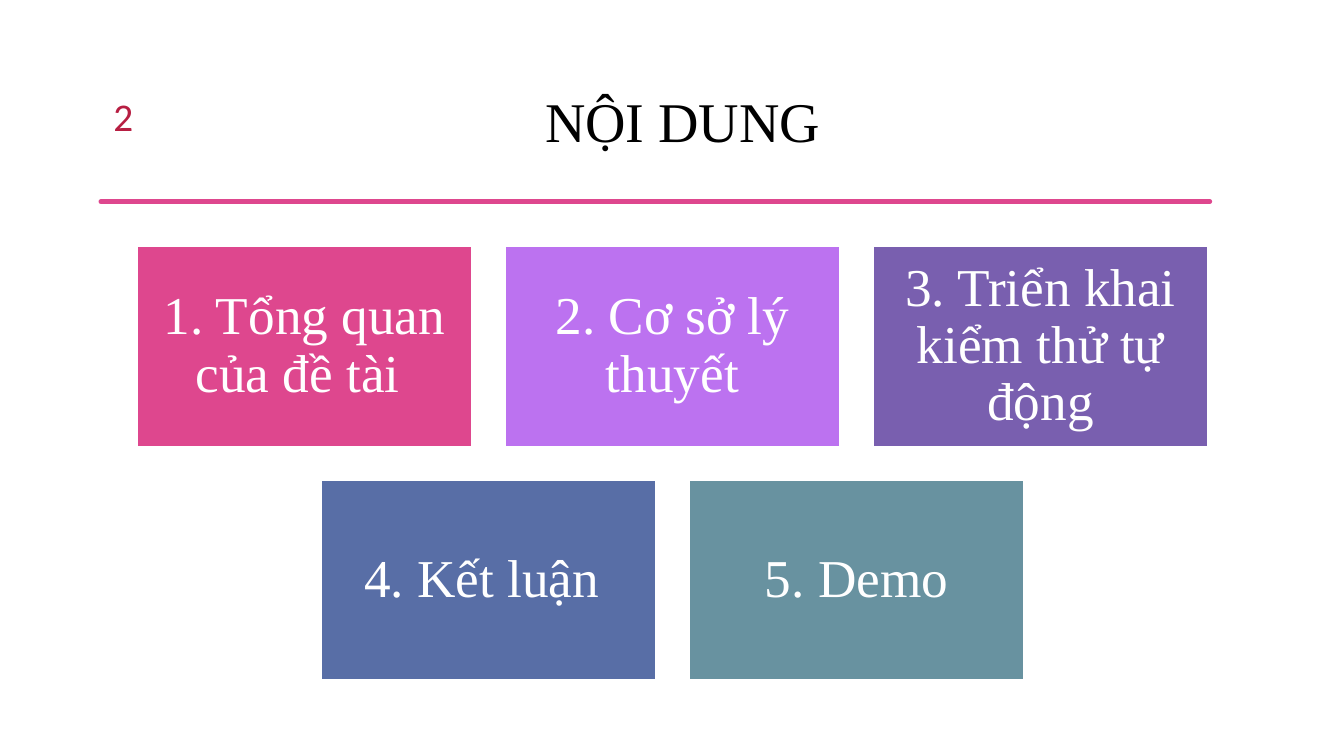
from dataclasses import dataclass

from lxml import etree
from pptx import Presentation
from pptx.dml.color import RGBColor
from pptx.enum.shapes import MSO_SHAPE
from pptx.enum.text import MSO_ANCHOR, PP_ALIGN
from pptx.oxml.ns import qn
from pptx.util import Inches, Pt

RECT = MSO_SHAPE.RECTANGLE
TOP, MIDDLE = MSO_ANCHOR.TOP, MSO_ANCHOR.MIDDLE
CENTER, RIGHT = PP_ALIGN.CENTER, PP_ALIGN.RIGHT
SERIF, SANS = "Times New Roman", "Calibri"
PINK, WHITE = "DE478E", "FFFFFF"

WIDTH, HEIGHT = 13.33, 7.5
TILE_W, TILE_H, GAP = 3.32, 1.99, 0.33
GRID_MID, GRID_TOP = 6.67, 2.44


@dataclass
class Tile:
    text: str
    color: str


ROWS = [
    [
        Tile("1. Tổng quan của đề tài ", PINK),
        Tile("2. Cơ sở lý thuyết", "BC72F0"),
        Tile("3. Triển khai kiểm thử tự động", "795FAF"),
    ],
    [
        Tile("4. Kết luận ", "586EA6"),
        Tile("5. Demo", "6892A0"),
    ],
]

# Brush stroke: x, upper edge, lower edge
BRUSH = [
    (0.92, 2.04, 2.06), (1.44, 2.03, 2.07), (2.03, 2.05, 2.07),
    (2.35, 2.04, 2.06), (2.8, 2.05, 2.06), (3.3, 2.04, 2.05),
    (3.67, 2.03, 2.06), (4.02, 2.04, 2.08), (4.75, 2.04, 2.05),
    (5.35, 2.05, 2.06), (5.95, 2.04, 2.06), (6.9, 2.02, 2.06),
    (7.8, 2.05, 2.06), (8.2, 2.04, 2.06), (8.75, 2.05, 2.08),
    (9.4, 2.03, 2.06), (10.3, 2.04, 2.06), (11.15, 2.03, 2.07),
    (11.65, 2.04, 2.05), (12.32, 2.04, 2.06),
]


def rgb(code: str) -> RGBColor:
    return RGBColor.from_string(code)


def paint(shape, fill: str, line: str, width: float) -> None:
    shape.shadow.inherit = False
    shape.fill.solid()
    shape.fill.fore_color.rgb = rgb(fill)
    shape.line.color.rgb = rgb(line)
    shape.line.width = Pt(width)


def write(shape, text: str, size: float, font: str, color: str,
          align, anchor, spacing: float = 1.0) -> None:
    frame = shape.text_frame
    frame.word_wrap = True
    frame.vertical_anchor = anchor
    frame.text = text
    para = frame.paragraphs[0]
    para.alignment = align
    para.line_spacing = spacing
    para.font.size = Pt(size)
    para.font.name = font
    para.font.color.rgb = rgb(color)


def add_tile(slide, tile: Tile, left: float, top: float) -> None:
    box = slide.shapes.add_shape(
        RECT, Inches(left), Inches(top), Inches(TILE_W), Inches(TILE_H))
    paint(box, tile.color, WHITE, 1.25)
    write(box, tile.text, 38, SERIF, WHITE, CENTER, MIDDLE, 0.9)
    frame = box.text_frame
    frame.margin_left = frame.margin_right = Inches(0.16)
    frame.margin_top = frame.margin_bottom = Inches(0.16)


def add_brush(slide) -> None:
    upper = [(x, top) for x, top, _ in BRUSH]
    lower = [(x, low) for x, _, low in reversed(BRUSH)]
    start, *rest = upper + lower
    pen = slide.shapes.build_freeform(*start, scale=Inches(1))
    pen.add_line_segments(rest, close=True)
    stroke = pen.convert_to_shape()
    paint(stroke, PINK, PINK, 3.25)
    etree.SubElement(stroke.line._get_or_add_ln(), qn("a:round"))


def main() -> None:
    deck = Presentation()
    deck.slide_width, deck.slide_height = Inches(WIDTH), Inches(HEIGHT)
    slide = deck.slides.add_slide(deck.slide_layouts[5])

    title = slide.shapes.title
    title.left, title.top = Inches(1.59), Inches(0.88)
    title.width, title.height = Inches(10.5), Inches(1.15)
    write(title, "NỘI DUNG ", 40, SERIF, "000000", CENTER, TOP, 0.9)

    for i, row in enumerate(ROWS):
        span = len(row) * (TILE_W + GAP) - GAP
        for j, tile in enumerate(row):
            add_tile(slide, tile, GRID_MID - span / 2 + j * (TILE_W + GAP),
                     GRID_TOP + i * (TILE_H + GAP))

    number = slide.shapes.add_textbox(
        Inches(0.53), Inches(0.87), Inches(0.89), Inches(0.55))
    write(number, "2", 28, SANS, "B71E42", RIGHT, TOP)
    add_brush(slide)
    deck.save("out.pptx")


if __name__ == "__main__":
    main()
